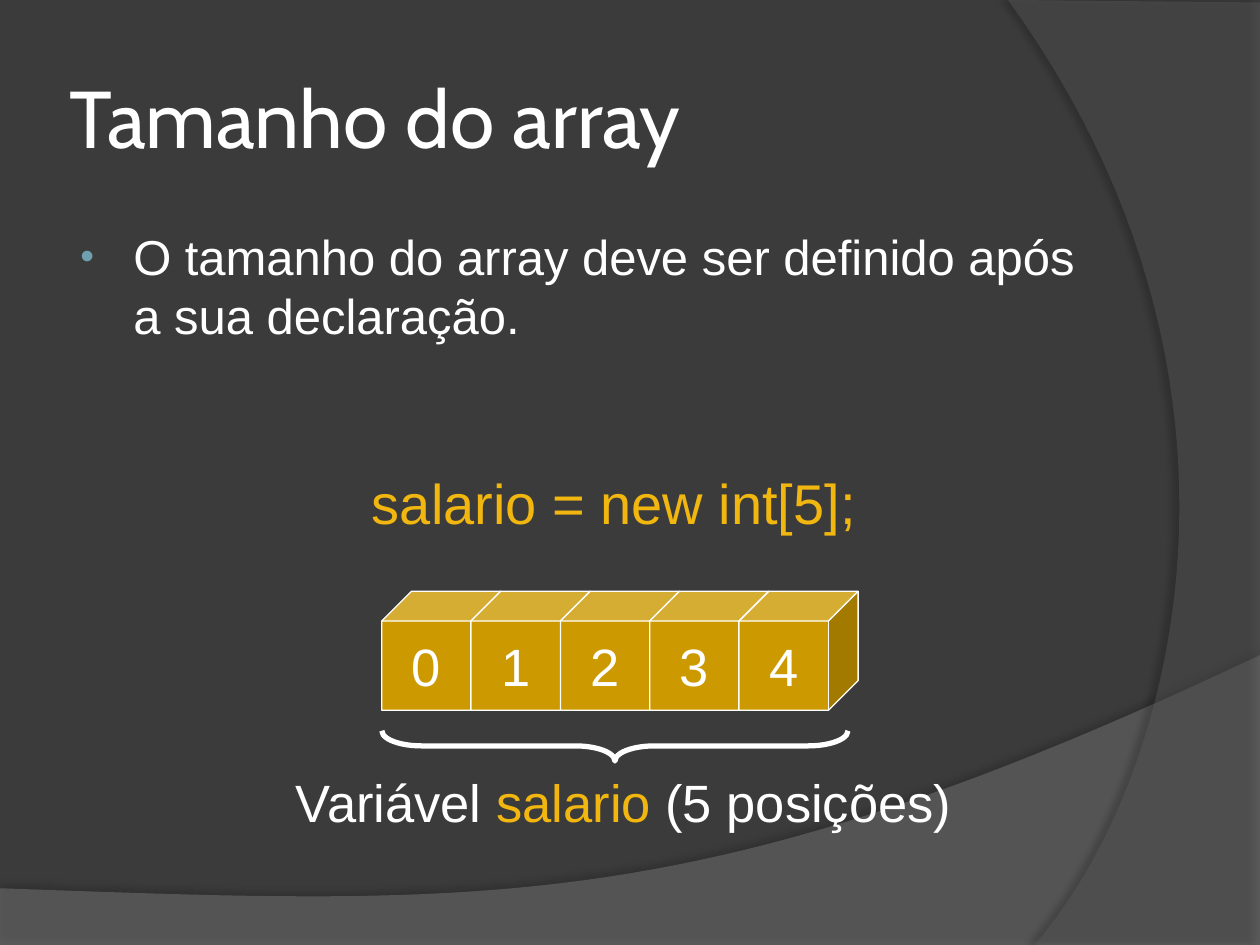
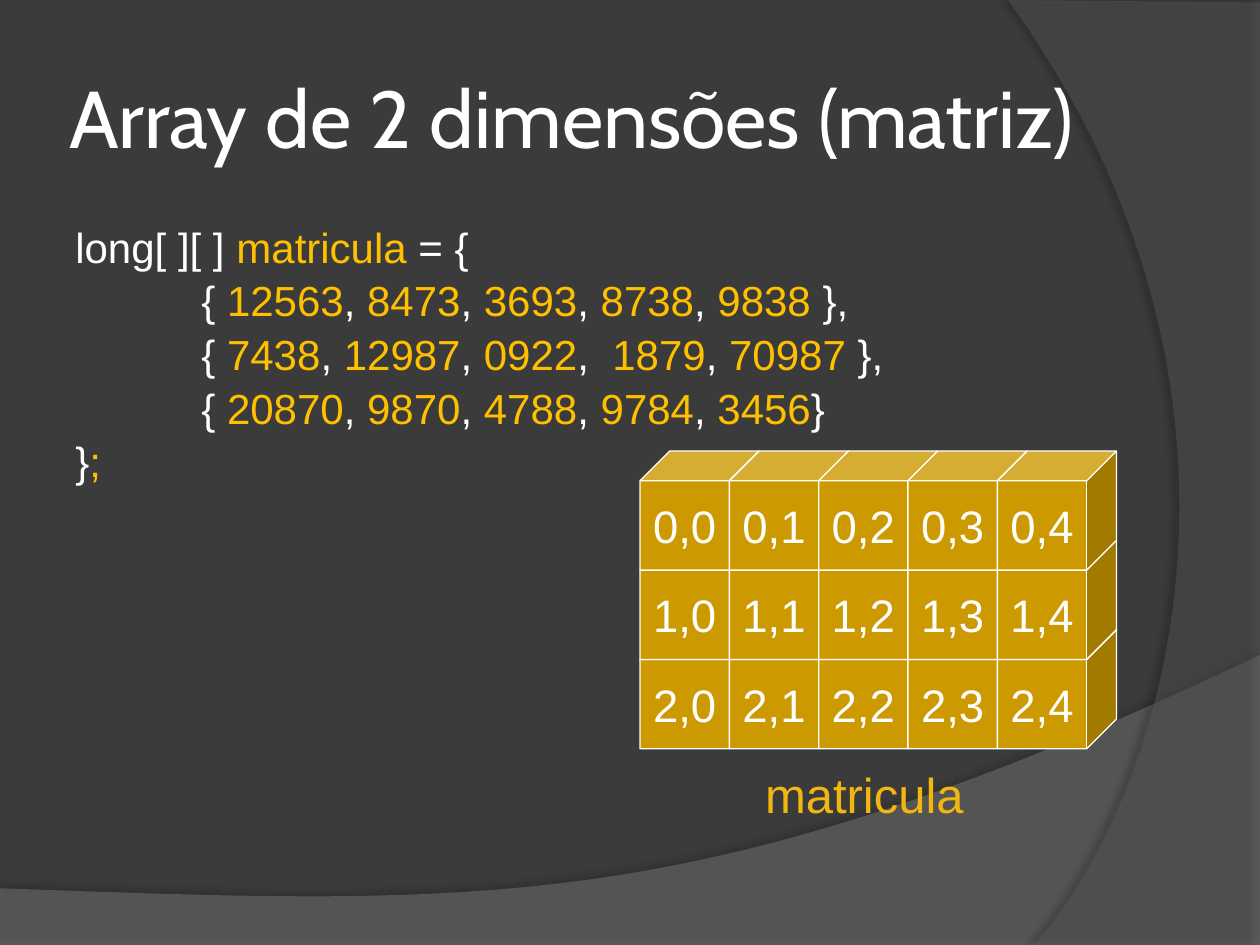
from dataclasses import dataclass
from itertools import groupby

from lxml import etree
from pptx import Presentation
from pptx.dml.color import RGBColor
from pptx.enum.shapes import MSO_SHAPE
from pptx.enum.text import MSO_ANCHOR, PP_ALIGN
from pptx.oxml.ns import qn
from pptx.util import Inches, Pt

CUBE, BRACE = MSO_SHAPE.CUBE, MSO_SHAPE.RIGHT_BRACE
TOP, MIDDLE = MSO_ANCHOR.TOP, MSO_ANCHOR.MIDDLE
LEFT, CENTER = PP_ALIGN.LEFT, PP_ALIGN.CENTER

# The page is a grid of square cells.
COLUMNS, ROWS = 100, 75
CELL = Inches(0.1)

CUBE_WIDTH, CUBE_HEIGHT, CUBE_STEP = 9.45, 9.45, 7.09
TITLE_AREA = (5, 3, 81.7, 12.5)
BODY_AREA = (5, 17.5, 81.7, 49.5)


@dataclass(frozen=True)
class Theme:
    background: str = "3B3B3B"
    text: str = "FFFFFF"
    name: str = "F1B60F"
    code: str = "FFC000"
    cube: str = "CC9900"
    bullet: str = "6EA0B0"
    wave: str = "7F7F7F"
    side: str = "5E5E5E"
    title_font: str = "Cabin"
    body_font: str = "Arial"
    title_size: int = 46
    statement_size: int = 32
    caption_size: int = 30
    body_size: int = 28
    pair_size: int = 26
    code_size: int = 24


THEME = Theme()


def color(value):
    return RGBColor.from_string(value)


def cells(*counts):
    return [round(count * CELL) for count in counts]


def add_element(parent, tag, **attributes):
    return etree.SubElement(parent, qn(tag), {key: str(value) for key, value in attributes.items()})


def curve_points(start, first_control, second_control, end, steps=48):
    """Points along a cubic curve, without its start."""
    points = []
    for step in range(1, steps + 1):
        t = step / steps
        weights = ((1 - t) ** 3, 3 * t * (1 - t) ** 2, 3 * t ** 2 * (1 - t), t ** 3)
        corners = (start, first_control, second_control, end)
        points.append(tuple(sum(w * corner[axis] for w, corner in zip(weights, corners))
                            for axis in (0, 1)))
    return points


def add_band(page, corners, curve, fill, opacity, shadow_opacity, shadow_distance, shadow_angle):
    """Translucent area with straight corners, closed by a curve from the last corner."""
    outline = [cells(*point) for point in corners + curve_points(corners[-1], *curve)]
    builder = page.shapes.build_freeform(*outline[0])
    builder.add_line_segments(outline[1:], close=True)
    band = builder.convert_to_shape()
    band.fill.solid()
    band.fill.fore_color.rgb = color(fill)
    fill_color = band.fill._xPr.find(qn("a:solidFill"))[0]
    add_element(fill_color, "a:alpha", val=opacity * 1000)
    band.line.fill.background()
    band.shadow.inherit = False
    effects = band._element.spPr.find(qn("a:effectLst"))
    shadow = add_element(effects, "a:outerShdw", blurRad=Pt(4), dist=Pt(shadow_distance),
                         dir=shadow_angle * 60000, algn="ctr", rotWithShape=0)
    shadow_color = add_element(shadow, "a:srgbClr", val="000000")
    add_element(shadow_color, "a:alpha", val=shadow_opacity * 1000)


def add_bullet(para):
    properties = para._p.get_or_add_pPr()
    properties.set("marL", str(Inches(0.46)))
    properties.set("indent", str(Inches(-0.42)))
    add_element(add_element(properties, "a:buClr"), "a:srgbClr", val=THEME.bullet)
    add_element(properties, "a:buSzPct", val=80000)
    add_element(properties, "a:buFont", typeface=THEME.body_font)
    add_element(properties, "a:buChar", char="•")


def add_tab_stop(para, inches):
    tabs = add_element(para._p.get_or_add_pPr(), "a:tabLst")
    add_element(tabs, "a:tab", pos=Inches(inches), algn="l")


def write(frame, paragraphs, size, font=THEME.body_font, align=LEFT, anchor=TOP, wrap=True,
          side_inset=0.1, line_spacing=1, gap=0, bullet=False, tab_stop=None):
    """Fill a frame; each paragraph is a string or a list of (text, colour) spans."""
    frame.word_wrap = wrap
    frame.vertical_anchor = anchor
    frame.margin_left = frame.margin_right = Inches(side_inset)
    frame.margin_top = frame.margin_bottom = Inches(0.05)
    for index, spans in enumerate(paragraphs):
        para = frame.paragraphs[0] if index == 0 else frame.add_paragraph()
        if bullet:
            add_bullet(para)
        if tab_stop:
            add_tab_stop(para, tab_stop)
        para.alignment = align
        para.line_spacing = line_spacing
        para.space_before = Pt(gap if index else 0)
        if isinstance(spans, str):
            spans = [(spans, THEME.text)]
        for text, span_color in spans:
            span = para.add_run()
            span.text = text
            span.font.name = font
            span.font.size = Pt(size)
            span.font.color.rgb = color(span_color)


def add_text(page, area, paragraphs, size, **text_format):
    box = page.shapes.add_textbox(*cells(*area))
    write(box.text_frame, paragraphs, size, **text_format)


def add_cube(page, left, top, label, size):
    cube = page.shapes.add_shape(CUBE, *cells(left, top, CUBE_WIDTH, CUBE_HEIGHT))
    cube.shadow.inherit = False
    cube.fill.solid()
    cube.fill.fore_color.rgb = color(THEME.cube)
    cube.line.color.rgb = color(THEME.text)
    cube.line.width = Pt(0.75)
    write(cube.text_frame, [label], size, align=CENTER, anchor=MIDDLE, wrap=False)


def add_cube_grid(page, left, top, labels, size):
    """Stack cubes from the bottom row up, so that each covers the one behind it."""
    for row in reversed(range(len(labels))):
        for column, label in enumerate(labels[row]):
            add_cube(page, left + column * CUBE_STEP, top + row * CUBE_STEP, label, size)


def add_brace(page, left, top, width, height):
    """Brace filling the given area, with its tip pointing down."""
    middle, center = left + width / 2, top + height / 2
    brace = page.shapes.add_shape(
        BRACE, *cells(middle - height / 2, center - width / 2, height, width))
    brace.rotation = 90
    brace.adjustments[0], brace.adjustments[1] = 1.31, 0.5
    brace.shadow.inherit = False
    brace.fill.background()
    brace.line.color.rgb = color(THEME.text)
    brace.line.width = Pt(3)


def code_spans(line):
    """Split a line of code so that its numbers are highlighted."""
    return [("".join(group), THEME.code if is_number else THEME.text)
            for is_number, group in groupby(line, str.isdigit)]


def add_page(deck, title):
    page = deck.slides.add_slide(deck.slide_layouts[6])
    page.background.fill.solid()
    page.background.fill.fore_color.rgb = color(THEME.background)
    add_band(page, [(0, 70.5), (0, ROWS), (COLUMNS, ROWS), (COLUMNS, 52)],
             [(55.9, 72.9), (39.1, 71.9), (0, 70.5)], THEME.wave, 45, 35, 3.5, 270)
    add_band(page, [(COLUMNS, 0.2), (COLUMNS, ROWS), (82.1, ROWS)],
             [(93.5, 61.9), (101.8, 30), (80, 0)], THEME.side, 40, 45, 4, 180)
    add_text(page, TITLE_AREA, [title], THEME.title_size, font=THEME.title_font, anchor=MIDDLE,
             side_inset=0.05)
    return page


def add_array_size_page(deck):
    page = add_page(deck, "Tamanho do array")
    add_text(page, BODY_AREA, ["O tamanho do array deve ser definido após a sua declaração."],
             THEME.body_size, bullet=True)
    add_cube_grid(page, 30.3, 46.93, ["01234"], THEME.caption_size)
    add_text(page, (28.4, 36.7, 40.7, 6.4), [[("salario = new int[5];", THEME.name)]],
             THEME.statement_size, align=CENTER, wrap=False)
    add_brace(page, 30.3, 58, 37, 2.4)
    caption = [("Variável ", THEME.text), ("salario", THEME.name), (" (5 posições)", THEME.text)]
    add_text(page, (22.4, 60.6, 54.2, 6), [caption], THEME.caption_size,
             align=CENTER, wrap=False)


def add_matrix_page(deck):
    page = add_page(deck, "Array de 2 dimensões (matriz)")
    values = ["\t{ 12563, 8473, 3693, 8738, 9838 },",
              "\t{ 7438, 12987, 0922,  1879, 70987 },",
              "\t{ 20870, 9870, 4788, 9784, 3456}"]
    opening = [("long[ ][ ] ", THEME.text), ("matricula", THEME.code), (" = {", THEME.text)]
    closing = [("}", THEME.text), (";", THEME.code)]
    add_text(page, BODY_AREA, [opening, *map(code_spans, values), closing], THEME.code_size,
             line_spacing=0.9, gap=4.8, tab_stop=1)
    labels = [[f"{row},{column}" for column in range(5)] for row in range(3)]
    add_cube_grid(page, 50.8, 35.8, labels, THEME.pair_size)
    add_text(page, (59.7, 60.2, 17.8, 5.7), [[("matricula", THEME.name)]], THEME.body_size,
             align=CENTER, wrap=False)


def main():
    deck = Presentation()
    deck.slide_width, deck.slide_height = cells(COLUMNS, ROWS)
    add_array_size_page(deck)
    add_matrix_page(deck)
    deck.save("out.pptx")


if __name__ == "__main__":
    main()
